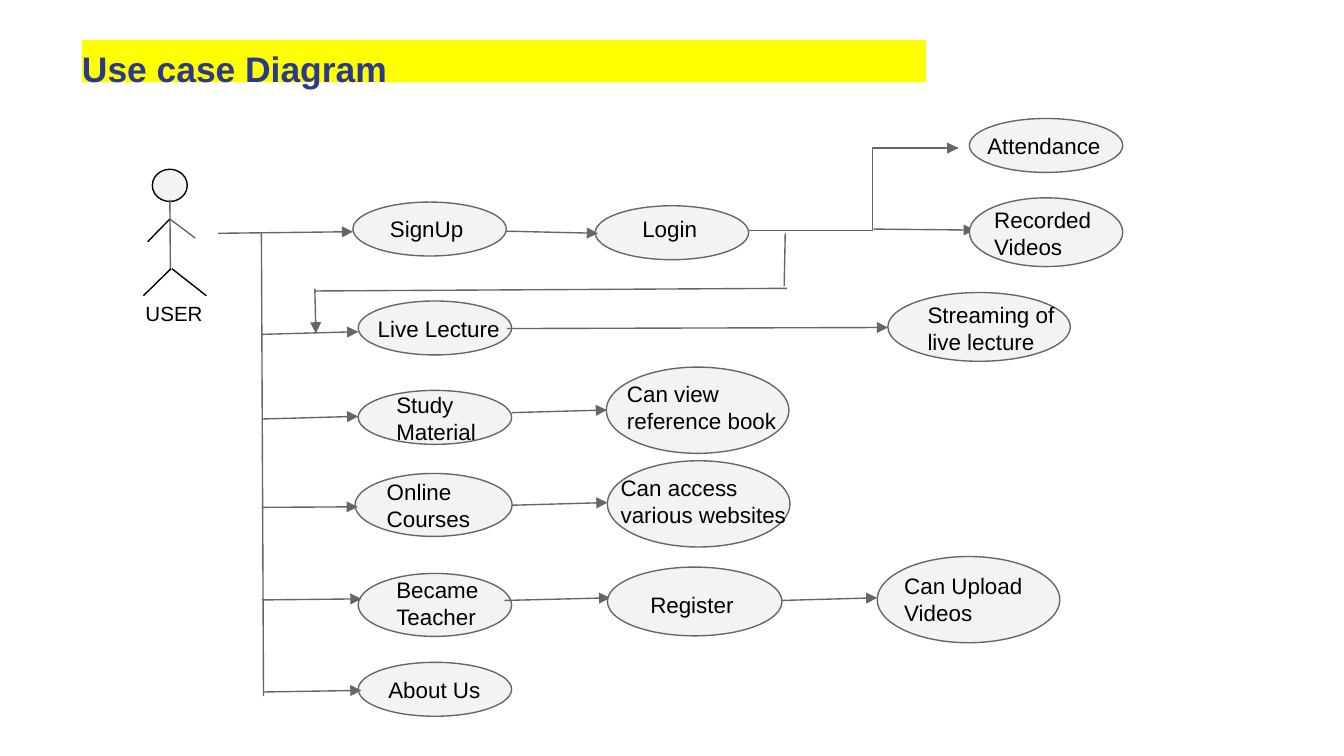
from pptx import Presentation
from pptx.dml.color import RGBColor
from pptx.enum.shapes import MSO_CONNECTOR, MSO_SHAPE
from pptx.enum.text import MSO_ANCHOR, PP_ALIGN
from pptx.oxml.ns import qn
from pptx.util import Cm, Pt
from lxml.etree import SubElement

GRAY, BLACK, PALE = "666666", "000000", "F3F3F3"


def color(hex_code):
    return RGBColor.from_string(hex_code)


def connect(start, end, hex_code=GRAY, arrow=False, kind=MSO_CONNECTOR.STRAIGHT):
    """Draw a thin connector between two points given in centimetres."""
    link = slide.shapes.add_connector(kind, *(Cm(v) for v in start + end))
    link.line.color.rgb = color(hex_code)
    link.line.width = Pt(0.75)
    if arrow:
        SubElement(link.line._get_or_add_ln(), qn("a:tailEnd"), type="triangle")
    SubElement(link._element.spPr, qn("a:effectLst"))


prs = Presentation()
prs.slide_width, prs.slide_height = Cm(25.4), Cm(14.29)
slide = prs.slides.add_slide(prs.slide_layouts[6])

# Title bar
title = slide.shapes.add_shape(MSO_SHAPE.RECTANGLE, Cm(1.55), Cm(0.76), Cm(15.95), Cm(0.8))
title.shadow.inherit = False
title.fill.solid()
title.fill.fore_color.rgb = color("FFFF00")
title.line.fill.background()
frame = title.text_frame
frame.margin_left = frame.margin_right = 0
frame.margin_top = frame.margin_bottom = 0
frame.vertical_anchor = MSO_ANCHOR.TOP
frame.text = "Use case Diagram"
heading = frame.paragraphs[0]
heading.alignment = PP_ALIGN.LEFT
heading.line_spacing = 1.16
font = heading.runs[0].font
font.name, font.size, font.bold = "Arial", Pt(19), True
font.color.rgb = color("2A3890")

# Ovals: left, top, width, height, outline
front_ovals = [
    (18.32, 3.74, 2.9, 1.3, GRAY),     # Recorded Videos
    (16.78, 5.53, 3.45, 1.3, GRAY),    # Streaming
    (11.48, 10.72, 3.3, 1.3, GRAY),    # Register
    (16.58, 10.52, 3.45, 1.63, GRAY),  # Can Upload Videos
]
back_ovals = [
    (2.88, 3.2, 0.66, 0.61, BLACK),    # head of the user
    (6.67, 3.82, 2.9, 1.02, GRAY),     # SignUp
    (11.25, 3.89, 2.9, 1.02, GRAY),    # Login
    (18.32, 2.24, 2.9, 1.02, GRAY),    # Attendance
    (6.77, 5.69, 2.9, 1.02, GRAY),     # Live Lecture
    (6.77, 7.38, 2.9, 1.02, GRAY),     # Study Material
    (11.46, 6.94, 3.45, 1.63, GRAY),   # Can view reference book
    (6.71, 8.95, 2.97, 1.19, GRAY),    # Online Courses
    (11.48, 8.71, 3.45, 1.63, GRAY),   # Can access various websites
    (6.77, 10.84, 2.9, 1.19, GRAY),    # Became Teacher
    (6.77, 12.52, 2.9, 1.02, GRAY),    # About Us
]
arrows = [
    ((4.12, 4.41), (6.67, 4.38)),      # user to SignUp
    ((4.95, 6.32), (6.77, 6.27)),      # trunk to each use case
    ((4.95, 7.92), (6.77, 7.87)),
    ((4.95, 9.59), (6.76, 9.58)),
    ((4.95, 11.34), (6.83, 11.32)),
    ((4.98, 13.08), (6.83, 13.05)),
    ((9.57, 4.37), (11.3, 4.41)),      # use case to its follow-up
    ((9.58, 6.21), (16.78, 6.19)),
    ((9.67, 7.8), (11.47, 7.75)),
    ((9.67, 9.55), (11.48, 9.5)),
    ((9.53, 11.35), (11.53, 11.3)),
    ((14.76, 11.35), (16.58, 11.3)),
    ((16.51, 4.33), (18.42, 4.35)),    # Login to Recorded Videos
    ((5.95, 5.46), (5.97, 6.3)),       # Login back to Live Lecture
    ((18.01, 2.8), (18.11, 2.8)),      # Login to Attendance
]
plain_lines = [
    ((3.21, 3.78), (3.22, 5.11), GRAY),    # body
    ((3.21, 4.14), (2.79, 4.57), BLACK),   # arms
    ((3.21, 4.14), (3.69, 4.5), GRAY),
    ((3.23, 5.08), (2.71, 5.59), BLACK),   # legs
    ((3.25, 5.08), (3.9, 5.59), BLACK),
    ((4.94, 4.4), (4.98, 13.16), GRAY),    # trunk
    ((14.15, 4.36), (14.86, 4.36), GRAY),  # way back from Login
    ((14.84, 4.41), (14.82, 5.41), GRAY),
    ((14.87, 5.45), (5.95, 5.5), GRAY),
]

for ovals in (back_ovals, front_ovals):
    for left, top, width, height, outline in ovals:
        oval = slide.shapes.add_shape(MSO_SHAPE.OVAL, Cm(left), Cm(top), Cm(width), Cm(height))
        oval.shadow.inherit = False
        oval.fill.solid()
        oval.fill.fore_color.rgb = color(PALE)
        oval.line.color.rgb = color(outline)
        oval.line.width = Pt(0.75)
    if ovals is back_ovals:
        for start, end, hex_code in plain_lines:
            connect(start, end, hex_code)
        for start, end in arrows:
            connect(start, end, arrow=True)
connect((14.86, 4.36), (18.11, 2.8), kind=MSO_CONNECTOR.ELBOW)

# Labels: text, left, top, width, height, size
labels = [
    ("USER", 2.5, 5.45, 1.9, 1.02, 11),
    ("SignUp", 7.12, 3.81, 2.44, 0.61, 12),
    ("Login", 11.89, 3.81, 2.54, 0.61, 12),
    ("Attendance", 18.41, 2.24, 2.72, 0.84, 12),
    ("Recorded\nVideos", 18.54, 3.65, 3.25, 1.02, 12),
    ("Live Lecture", 6.89, 5.71, 2.9, 0.81, 12),
    ("Streaming of\nlive lecture", 17.28, 5.44, 2.97, 1.02, 12),
    ("Study Material", 7.24, 7.14, 2.54, 0.61, 12),
    ("Can view reference book", 11.6, 6.94, 3.89, 1.83, 12),
    ("Online Courses", 7.06, 8.79, 2.9, 0.61, 12),
    ("Can access various websites", 11.48, 8.71, 3.66, 1.3, 12),
    ("Became Teacher", 7.24, 10.65, 2.54, 0.61, 12),
    ("Register", 12.04, 10.92, 2.97, 0.81, 12),
    ("Can Upload Videos", 16.84, 10.57, 2.97, 1.52, 12),
    ("About Us", 7.09, 12.53, 2.27, 0.61, 12),
]
for text, left, top, width, height, size in labels:
    frame = slide.shapes.add_textbox(Cm(left), Cm(top), Cm(width), Cm(height)).text_frame
    frame.word_wrap = True
    frame.margin_left = frame.margin_right = Cm(0.25)
    frame.margin_top = frame.margin_bottom = Cm(0.25)
    frame.text = text
    for paragraph in frame.paragraphs:
        font = paragraph.runs[0].font
        font.name, font.size = "Arial", Pt(size)
        font.color.rgb = color(BLACK)

prs.save("out.pptx")
